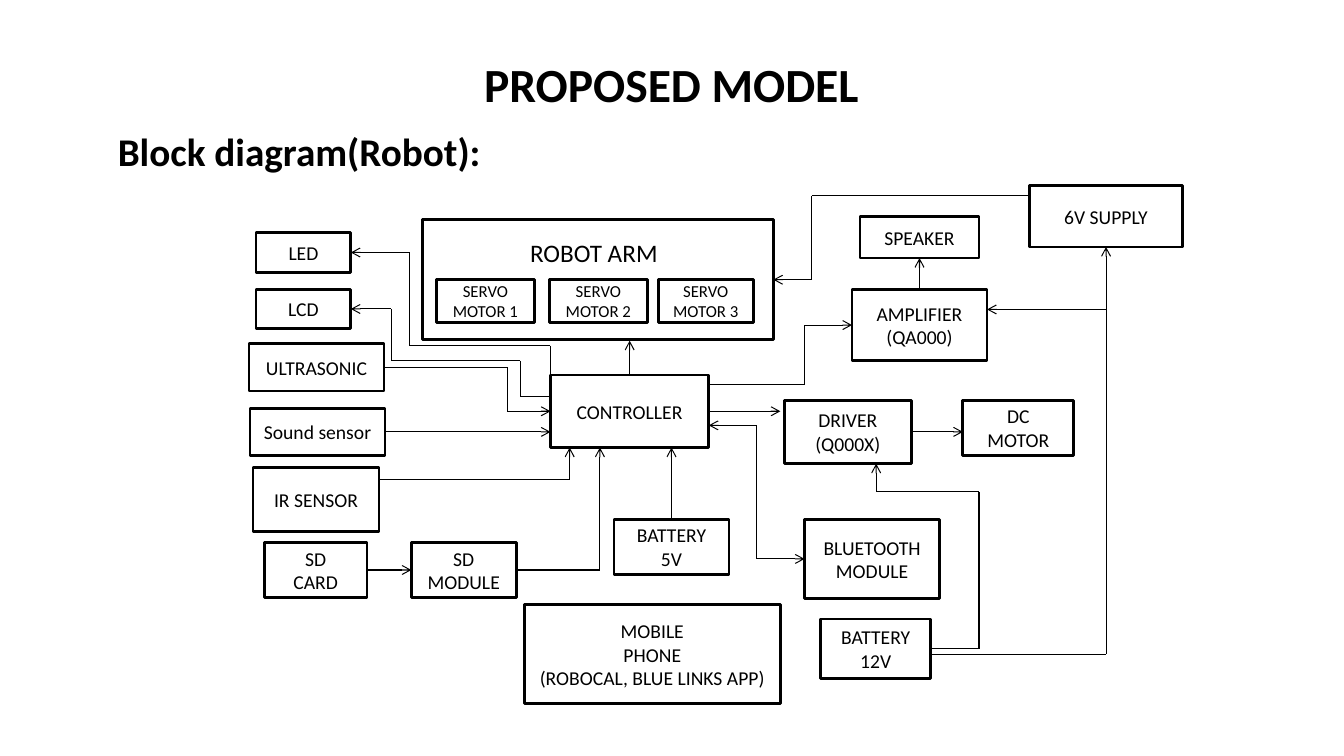
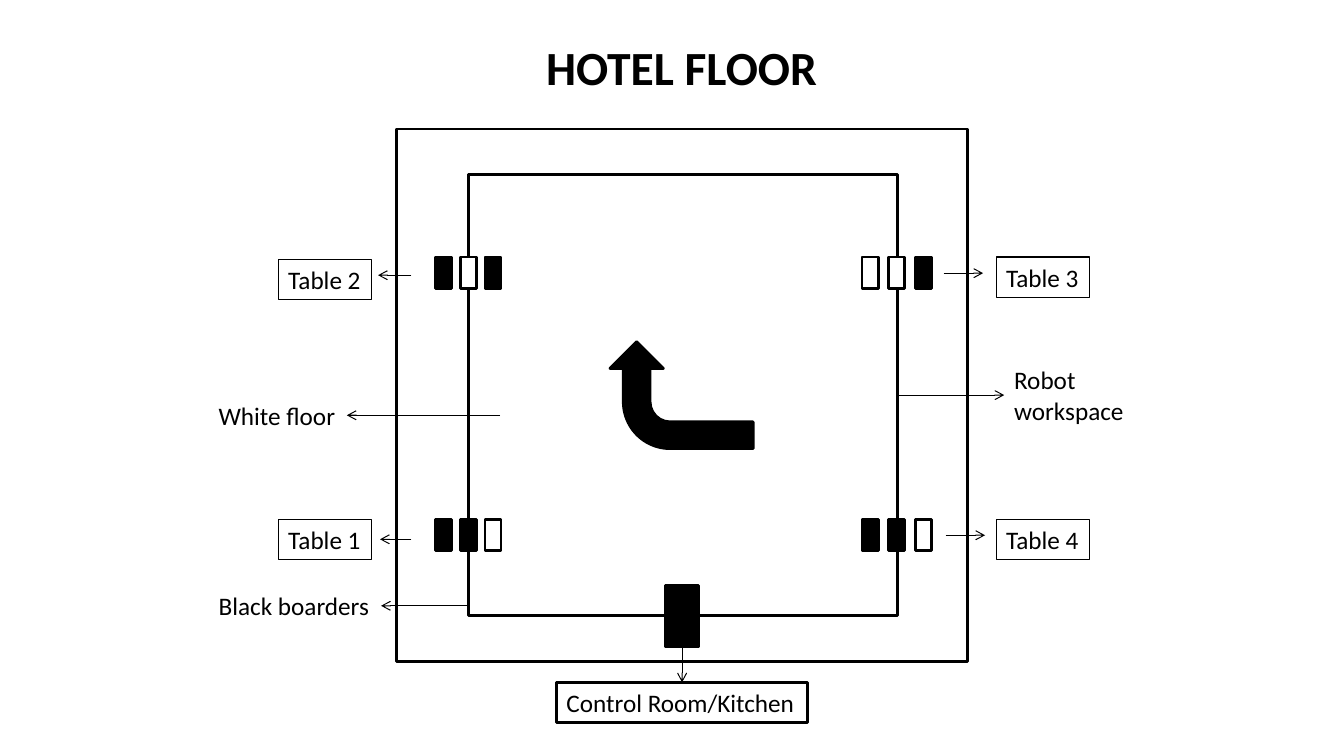
from collections import namedtuple

from lxml import etree
from pptx import Presentation
from pptx import util as u
from pptx.dml.color import RGBColor
from pptx.enum import shapes, text
from pptx.oxml import ns

BLACK = RGBColor(0, 0, 0)
WHITE = RGBColor(255, 255, 255)
FONT = "Calibri"
CELL = u.Inches(0.1)  # one column or row of the grid
THICK, THIN = u.Pt(2), u.Pt(0.75)
TOP, LEFT, BOTTOM, RIGHT = range(4)
CENTER = text.PP_ALIGN.CENTER

Port = namedtuple("Port", "box side")


def grid(*cells):
    return [round(cell * CELL) for cell in cells]


def write(box, words, size=18, bold=False, align=text.PP_ALIGN.LEFT,
          anchor=text.MSO_ANCHOR.TOP, wrap=False, margin=0.1):
    frame = box.text_frame
    frame.word_wrap = wrap
    frame.vertical_anchor = anchor
    frame.margin_left = frame.margin_right = u.Inches(margin)
    for index, line in enumerate(words.split("\n")):
        para = frame.add_paragraph() if index else frame.paragraphs[0]
        para.alignment = align
        span = para.add_run()
        span.text = line
        span.font.name = FONT
        span.font.size = u.Pt(size)
        span.font.bold = bold
        span.font.color.rgb = BLACK


def place(point):
    """Position in EMU of a grid point or of the middle of a box side."""
    if not isinstance(point, Port):
        return grid(*point)
    box, side = point
    across = {LEFT: 0, RIGHT: box.width}.get(side, box.width // 2)
    down = {TOP: 0, BOTTOM: box.height}.get(side, box.height // 2)
    return [box.left + across, box.top + down]


class Page:
    """The current slide and the style of its elements."""

    def __init__(self, deck):
        self.shapes = deck.slides.add_slide(deck.slide_layouts[6]).shapes

    def title(self, words, *area):
        write(self.shapes.add_textbox(*grid(*area)), words, size=34, bold=True,
              align=CENTER, wrap=True)

    def box(self, *area, words="", size=14, fill=WHITE,
            kind=shapes.MSO_SHAPE.RECTANGLE):
        box = self.shapes.add_shape(kind, *grid(*area))
        box.shadow.inherit = False
        if fill is None:
            box.fill.background()
        else:
            box.fill.solid()
            box.fill.fore_color.rgb = fill
        box.line.color.rgb = BLACK
        box.line.width = THICK
        if words:
            write(box, words, size=size, align=CENTER, wrap=True, margin=0.05,
                  anchor=text.MSO_ANCHOR.MIDDLE)
        return box

    def label(self, words, *area, border=None, **style):
        box = self.shapes.add_textbox(*grid(*area))
        write(box, words, **style)
        box.text_frame.auto_size = text.MSO_AUTO_SIZE.SHAPE_TO_FIT_TEXT
        if border:
            box.line.color.rgb = BLACK
            box.line.width = border
        return box

    def wire(self, *points, both=False, arrow=True):
        """Straight lines through the points, with an arrowhead at the end."""
        last = len(points) - 2
        for index, (start, end) in enumerate(zip(points, points[1:])):
            line = self.shapes.add_connector(
                shapes.MSO_CONNECTOR.STRAIGHT, *place(start), *place(end))
            line.line.color.rgb = BLACK
            line.line.width = THIN
            if isinstance(start, Port):
                line.begin_connect(*start)
            if isinstance(end, Port):
                line.end_connect(*end)
            properties = line.element.spPr
            outline = properties.find(ns.qn("a:ln"))
            if both and index == 0:
                etree.SubElement(outline, ns.qn("a:headEnd"), type="arrow")
            if arrow and index == last:
                etree.SubElement(outline, ns.qn("a:tailEnd"), type="arrow")
            etree.SubElement(properties, ns.qn("a:effectLst"))


def block_diagram(deck):
    page = Page(deck)
    page.title("PROPOSED MODEL", 21.6, 5, 90, 12.5)
    page.label("Block diagram(Robot):", 10.7, 12.1, 39.5, 5.7,
               size=28, bold=True, wrap=True)

    arm = page.box(41.9, 21.8, 34.8, 11.9)
    page.label("ROBOT ARM", 51.2, 23.1, 15.4, 4, align=CENTER)
    for number, (left, width) in enumerate(
            [(43.3, 9.7), (54.5, 9.7), (65.3, 9.4)], 1):
        page.box(left, 27.7, width, 4.3, words=f"SERVO MOTOR {number}", size=12)

    blocks = {
        "speaker": ("SPEAKER", 85.3, 21.5, 11.8, 4.1),
        "led": ("LED", 25.4, 23.1, 9.4, 3.9),
        "lcd": ("LCD", 25.4, 28.7, 9.4, 3.9),
        "ultrasonic": ("ULTRASONIC", 24.7, 34.1, 13.4, 4.7),
        "sound": ("Sound sensor", 24.8, 40.5, 13.4, 4.7),
        "infrared": ("IR SENSOR", 25.1, 46.4, 12.5, 6.3),
        "card": ("SD\nCARD", 26.2, 53.8, 10.2, 5.5),
        "module": ("SD\nMODULE", 40.8, 53.8, 10.4, 5.5),
        "controller": ("CONTROLLER", 54.6, 37.2, 15.7, 7.2),
        "battery5": ("BATTERY\n5V", 60.9, 51.5, 11.4, 5.5),
        "battery12": ("BATTERY\n12V", 81.4, 61.4, 10.9, 5.9),
        "amplifier": ("AMPLIFIER\n(QA000)", 84.5, 28.7, 13.4, 7.1),
        "driver": ("DRIVER\n(Q000X)", 77.8, 39.7, 12.6, 6.3),
        "motor": ("DC\nMOTOR", 95.5, 39.7, 11, 5.5),
        "bluetooth": ("BLUETOOTH\nMODULE", 79.8, 51.5, 13.4, 7.9),
        "supply": ("6V SUPPLY", 102.1, 18.4, 15.2, 6.1),
        "phone": ("MOBILE\nPHONE\n(ROBOCAL, BLUE LINKS APP)",
                  52, 60, 25.4, 9.8),
    }
    boxes = {name: page.box(*area, words=words)
             for name, (words, *area) in blocks.items()}

    def port(name, side):
        return Port(boxes[name], side)

    # Inputs and displays on the left
    page.wire((54.6, 38.1), (54.6, 34.3), (40.6, 34.3), (40.6, 25.05),
              port("led", RIGHT))
    page.wire((54.6, 39.3), (51.6, 39.3), (51.6, 35.8), (38.8, 35.8),
              (38.8, 30.65), port("lcd", RIGHT))
    page.wire(port("ultrasonic", RIGHT), (50.3, 36.45), (50.3, 40.8),
              port("controller", LEFT))
    page.wire(port("sound", RIGHT), (54.6, 42.85))
    page.wire((37.6, 47.6), (56.5, 47.6), (56.5, 44.4))
    page.wire(port("card", RIGHT), port("module", LEFT))
    page.wire(port("module", RIGHT), (59.5, 56.55), (59.5, 44.4))
    page.wire(port("battery5", TOP), (66.6, 44.4))

    # Outputs of the controller
    page.wire(port("controller", TOP), (62.45, 33.8))
    page.wire((70.3, 38.1), (79.8, 38.1), (79.8, 32.25),
              port("amplifier", LEFT))
    page.wire(port("controller", RIGHT), (77.4, 40.8))
    page.wire((70.3, 42.2), (75, 42.2), (75, 55.45),
              port("bluetooth", LEFT), both=True)
    page.wire(port("amplifier", TOP), port("speaker", BOTTOM))
    page.wire(port("driver", RIGHT), (95.5, 42.85))

    # Power
    page.wire(port("battery12", RIGHT), (97.1, 64.35), (97.1, 48.8),
              (86.9, 48.8), (86.9, 46))
    page.wire((92.3, 64.9), (109.7, 64.9), port("supply", BOTTOM))
    page.wire((109.7, 30.7), (97.9, 30.7))
    page.wire((102.1, 19.4), (80.5, 19.4), (80.5, 27.75), Port(arm, RIGHT))


def hotel_floor(deck):
    page = Page(deck)
    page.title("HOTEL FLOOR", 51.6, 3.3, 32, 6.7)
    page.box(39.3, 12.8, 56.7, 52.8, fill=None)
    workspace = page.box(46.5, 17.3, 42.5, 43.8, fill=None)

    # Each table has a code of three marks: 1 is black, 0 is white
    left_marks, right_marks = (43.2, 2.45), (85.5, 2.65)
    tables = [
        ("Table 1", 27.6, 51.5, left_marks, 51.5, "110", (40.8, 37.7), 53.5),
        ("Table 2", 27.6, 25.7, left_marks, 25.5, "101", (40.8, 37.5), 27.3),
        ("Table 3", 98.8, 25.5, right_marks, 25.5, "001", (93.6, 97.5), 27.1),
        ("Table 4", 98.8, 51.5, right_marks, 51.5, "110", (93.8, 97.7), 53.1),
    ]
    for name, left, top, (first, step), row, code, ends, level in tables:
        page.label(name, left, top, 9.3, 4, border=THIN)
        for index, bit in enumerate(code):
            page.box(first + index * step, row, 1.6, 3.1,
                     fill=BLACK if bit == "1" else WHITE)
        page.wire(*((end, level) for end in ends))

    turn = page.box(62.3, 32.1, 10.6, 14.2, fill=BLACK,
                    kind=shapes.MSO_SHAPE.BENT_ARROW)
    turn.rotation = 270

    kitchen = page.box(66, 58.1, 3.3, 6.1, fill=BLACK)
    control = page.label("Control Room/Kitchen", 55.2, 67.7, 24.9, 4,
                         border=THICK)
    page.wire(Port(kitchen, BOTTOM), Port(control, TOP))
    robot = page.label("Robot\nworkspace", 99.6, 35.7, 13, 7)
    page.wire(Port(workspace, RIGHT), Port(robot, LEFT))
    floor = page.label("White floor", 20.7, 39.2, 13.7, 4)
    page.wire((49.6, 41.2), Port(floor, RIGHT))
    borders = page.label("Black boarders", 20.7, 58.1, 17.1, 4)
    page.wire((46.5, 60.1), Port(borders, RIGHT))


def main():
    deck = Presentation()
    deck.slide_width = u.Inches(13.33)
    deck.slide_height = u.Inches(7.5)
    block_diagram(deck)
    hotel_floor(deck)
    deck.save("out.pptx")


if __name__ == "__main__":
    main()
